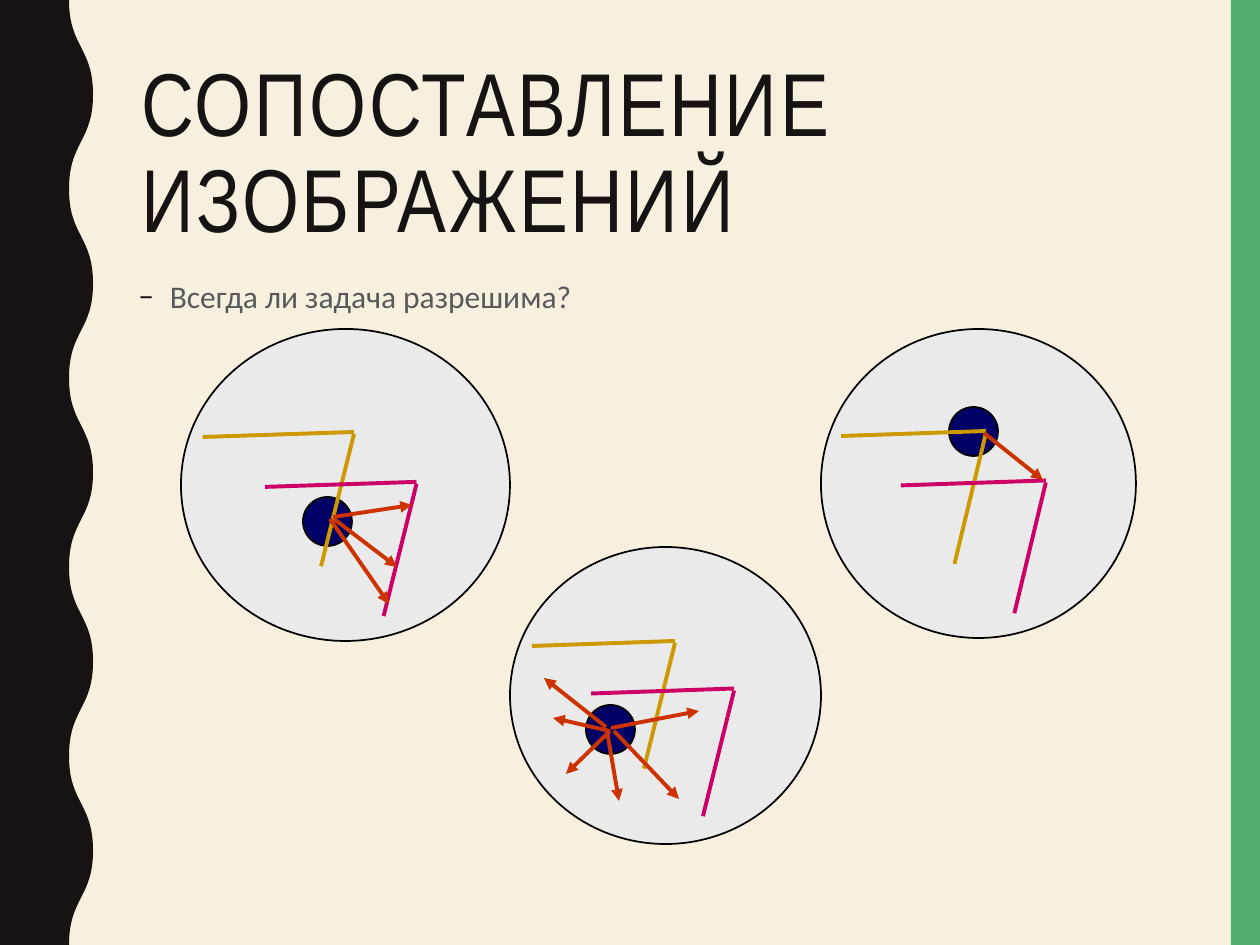
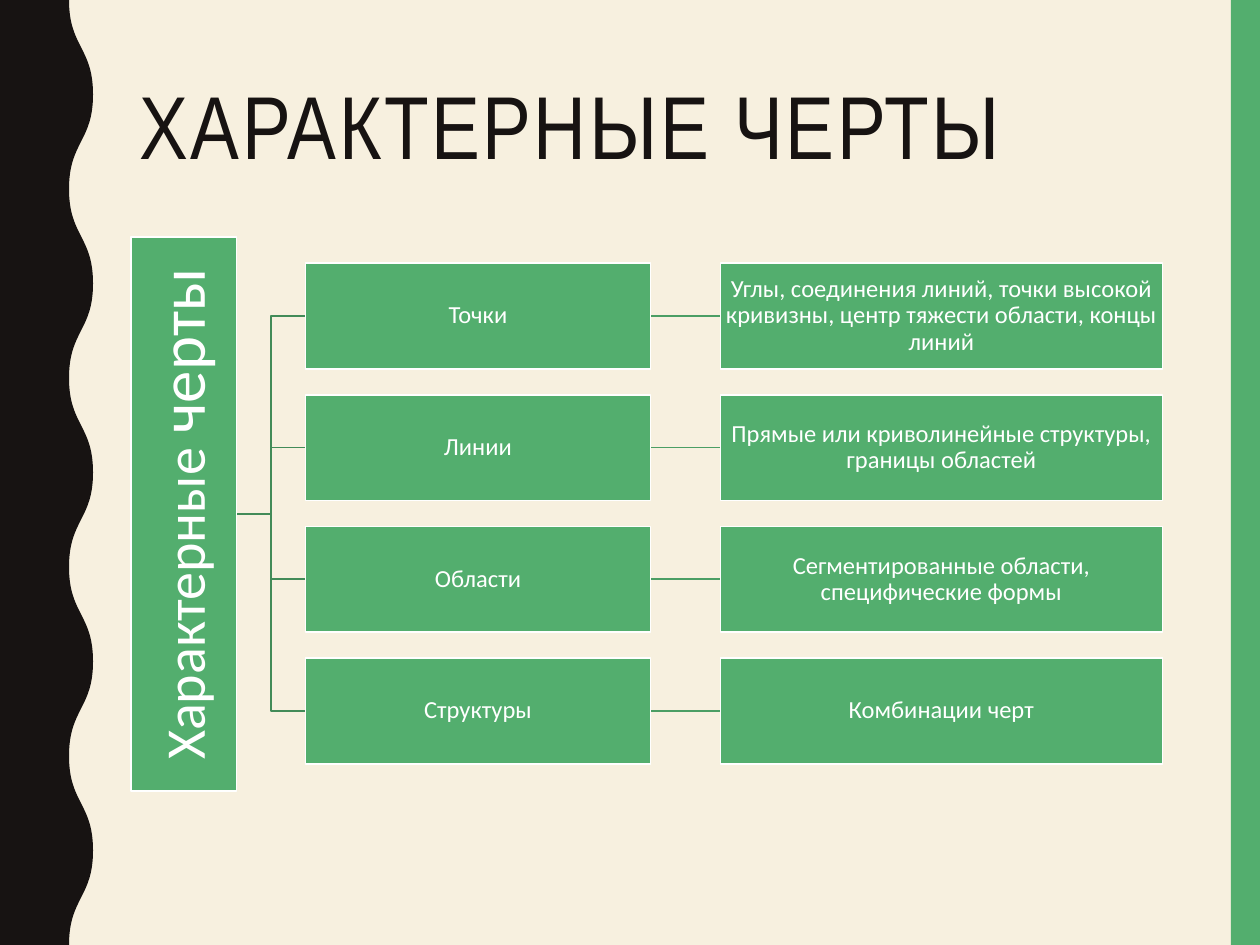
from lxml import etree
from pptx import Presentation
from pptx.dml.color import RGBColor
from pptx.enum.shapes import MSO_CONNECTOR, MSO_SHAPE
from pptx.enum.text import MSO_ANCHOR, MSO_AUTO_SIZE, PP_ALIGN
from pptx.oxml.ns import qn
from pptx.util import Emu, Pt

RECT, OVAL = MSO_SHAPE.RECTANGLE, MSO_SHAPE.OVAL
LINE = MSO_CONNECTOR.STRAIGHT
TOP, MIDDLE = MSO_ANCHOR.TOP, MSO_ANCHOR.MIDDLE
LEFT, CENTER = PP_ALIGN.LEFT, PP_ALIGN.CENTER
NO_FIT = MSO_AUTO_SIZE.NONE

CREAM = RGBColor(0xF7, 0xF0, 0xDF)
INK = RGBColor(0x17, 0x13, 0x12)
GREEN = RGBColor(0x53, 0xAE, 0x6E)
STEM = RGBColor(0x42, 0x8B, 0x58)
TWIG = RGBColor(0x4B, 0x9E, 0x64)
GRAY = RGBColor(0x59, 0x59, 0x59)
PALE = RGBColor(0xEA, 0xEA, 0xEA)
NAVY = RGBColor(0x00, 0x00, 0x66)
GOLD = RGBColor(0xCC, 0x99, 0x00)
PINK = RGBColor(0xCC, 0x00, 0x66)
RED = RGBColor(0xCC, 0x33, 0x00)
BLACK = RGBColor(0, 0, 0)
WHITE = RGBColor(0xFF, 0xFF, 0xFF)

HEAD, BODY = "Arial Narrow", "Calibri"
WIDE, HIGH = 1260, 945
WAVES = 10  # half waves down the left edge

# box of the view, tip of the gold corner, dot, arrows; all but the box are relative to it
VIEWS = [
    ((821, 329, 315, 309), (165, 102), (128, 78), [(163, 104, 222, 151)]),
    ((181, 329, 329, 312), (173, 103), (122, 168),
     [(153, 190, 216, 238), (152, 188, 231, 176), (149, 190, 208, 275)]),
    ((510, 547, 311, 297), (165, 94), (76, 158),
     [(104, 184, 169, 252), (101, 181, 189, 164), (97, 184, 109, 254),
      (100, 184, 43, 171), (96, 180, 34, 131), (100, 184, 56, 227)]),
]

TRAITS = [
    ("Точки", "Углы, соединения линий, точки высокой кривизны, "
              "центр тяжести области, концы линий"),
    ("Линии", "Прямые или криволинейные структуры, границы областей"),
    ("Области", "Сегментированные области, специфические формы"),
    ("Структуры", "Комбинации черт"),
]


def px(n):
    return Emu(round(n * 914400 / 126))


def paint(shape, fill, edge=None):
    shape.shadow.inherit = False
    if fill is None:
        shape.fill.background()
    else:
        shape.fill.solid()
        shape.fill.fore_color.rgb = fill
    if edge is None:
        shape.line.fill.background()
    else:
        shape.line.color.rgb = edge
        shape.line.width = Pt(1)


def add_box(slide, kind, box, fill, edge=None):
    shape = slide.shapes.add_shape(kind, *map(px, box))
    paint(shape, fill, edge)
    return shape


def add_path(slide, points, fill, edge=None, close=False):
    spots = [(px(x), px(y)) for x, y in points]
    pen = slide.shapes.build_freeform(*spots[0])
    pen.add_line_segments(spots[1:], close=close)
    shape = pen.convert_to_shape()
    paint(shape, fill, edge)
    return shape


def add_line(slide, ends, color, arrow=False):
    line = slide.shapes.add_connector(LINE, *map(px, ends))
    line.line.color.rgb = color
    line.line.width = Pt(2.25)
    props = line._element.spPr
    if arrow:
        etree.SubElement(props.find(qn("a:ln")), qn("a:tailEnd"), type="triangle")
    etree.SubElement(props, qn("a:effectLst"))


def style(para, font, size, color, space, align=LEFT):
    para.alignment = align
    para.line_spacing = space
    for run in para.runs:
        run.font.name = font
        run.font.size = Pt(size)
        run.font.color.rgb = color


def place(shape, box):
    shape.left, shape.top, shape.width, shape.height = map(px, box)


def add_wave(slide):
    """Dark left band; the segments of its right edge are bent into curves."""
    half = HIGH / WAVES
    edge = [((69, 93)[n % 2], n * half) for n in range(WAVES + 1)]
    band = add_path(slide, [(0, 0), *edge, (0, HIGH)], INK, close=True)
    lines = list(band._element.iter(qn("a:lnTo")))[1:WAVES + 1]
    for line, (x1, y1), (x2, y2) in zip(lines, edge, edge[1:]):
        line.tag = qn("a:cubicBezTo")
        line.clear()
        mid = (y1 + y2) / 2
        for x, y in ((x1, mid), (x2, mid), (x2, y2)):
            etree.SubElement(line, qn("a:pt"), x=str(px(x)), y=str(px(y)))


def add_slide(deck, title, box):
    slide = deck.slides.add_slide(deck.slide_layouts[5])
    add_box(slide, RECT, (1231, 0, 29, HIGH), GREEN)
    add_wave(slide)
    head = slide.shapes.title
    place(head, box)
    frame = head.text_frame
    frame.text = title
    frame.word_wrap = True
    frame.auto_size = NO_FIT
    frame.vertical_anchor = TOP
    para = frame.paragraphs[0]
    style(para, HEAD, 51, INK, 0.9)
    para.runs[0].font._element.set("spc", "150")
    return slide


def add_point(slide, text, box):
    frame = slide.shapes.add_textbox(*map(px, box)).text_frame
    frame.word_wrap = True
    frame.text = text
    para = frame.paragraphs[0]
    props = para._p.get_or_add_pPr()
    props.set("marL", str(Pt(54)))
    props.set("indent", str(-Pt(18)))
    tint = etree.SubElement(props, qn("a:buClr"))
    etree.SubElement(tint, qn("a:srgbClr"), val=str(INK))
    etree.SubElement(props, qn("a:buFont"), typeface=BODY)
    etree.SubElement(props, qn("a:buChar"), char="–")
    style(para, BODY, 18, GRAY, 1.1)


def add_corner(slide, x, y, wide, high, color):
    """Two edges meeting at the tip (x, y), sized by the view around them."""
    add_line(slide, (x - 0.46 * wide, y + 5, x, y), color)
    add_line(slide, (x, y + 2, x - 0.1 * wide, y + 0.43 * high), color)


def add_view(slide, box, tip, dot, arrows):
    left, top, wide, high = box
    add_box(slide, OVAL, box, PALE, BLACK)
    add_box(slide, OVAL, (left + dot[0], top + dot[1], 49, 49), NAVY, BLACK)
    x, y = left + tip[0], top + tip[1]
    add_corner(slide, x, y, wide, high, GOLD)
    add_corner(slide, x + 0.19 * wide, y + 0.16 * high, wide, high, PINK)
    for x1, y1, x2, y2 in arrows:
        add_line(slide, (left + x1, top + y1, left + x2, top + y2), RED, True)


def add_node(slide, box, parts, pad=1):
    """Green label; parts are (text, size) pairs set in one paragraph."""
    node = add_box(slide, RECT, box, GREEN, WHITE)
    frame = node.text_frame
    frame.word_wrap = True
    frame.vertical_anchor = MIDDLE
    frame.margin_left = frame.margin_right = px(pad)
    frame.margin_top = frame.margin_bottom = px(pad)
    para = frame.paragraphs[0]
    for text, size in parts:
        para.add_run().text = text
    style(para, BODY, 14, WHITE, 0.9, CENTER)
    for run, (text, size) in zip(para.runs, parts):
        run.font.size = Pt(size)
    return node


def add_tree(slide, left, top, high):
    bar, gap = 105.5, 26.2
    kind_x, note_x = left + 174.5, left + 589.5
    kind_w, note_w = 345, 442
    root_y = top + high / 2
    bend = (left + bar + kind_x) / 2
    for row, (kind, note) in enumerate(TRAITS):
        y = top + gap + row * (bar + gap)
        mid = y + bar / 2
        add_path(slide, [(left + bar, root_y), (bend, root_y),
                         (bend, mid), (kind_x, mid)], None, STEM)
        add_path(slide, [(kind_x + kind_w, mid), (note_x, mid)], None, TWIG)
        add_node(slide, (kind_x, y, kind_w, bar), [(kind, 14)])
        add_node(slide, (note_x, y, note_w, bar), [(note, 14)])
    box = (left + (bar - high) / 2, root_y - bar / 2, high, bar)
    root = add_node(slide, box, [("Характерные", 32), (" черты", 37)], pad=3)
    root.rotation = 270


def main():
    deck = Presentation()
    deck.slide_width, deck.slide_height = px(WIDE), px(HIGH)
    back = deck.slide_master.background.fill
    back.solid()
    back.fore_color.rgb = CREAM

    match = add_slide(deck, "СОПОСТАВЛЕНИЕ ИЗОБРАЖЕНИЙ", (129, 53, 1052, 205))
    add_point(match, "Всегда ли задача разрешима?", (63, 267, 1134, 156))
    for view in VIEWS:
        add_view(match, *view)

    traits = add_slide(deck, "ХАРАКТЕРНЫЕ ЧЕРТЫ", (127, 76, 1134, 157))
    add_tree(traits, 131, 237, 554)
    deck.save("out.pptx")


if __name__ == "__main__":
    main()
